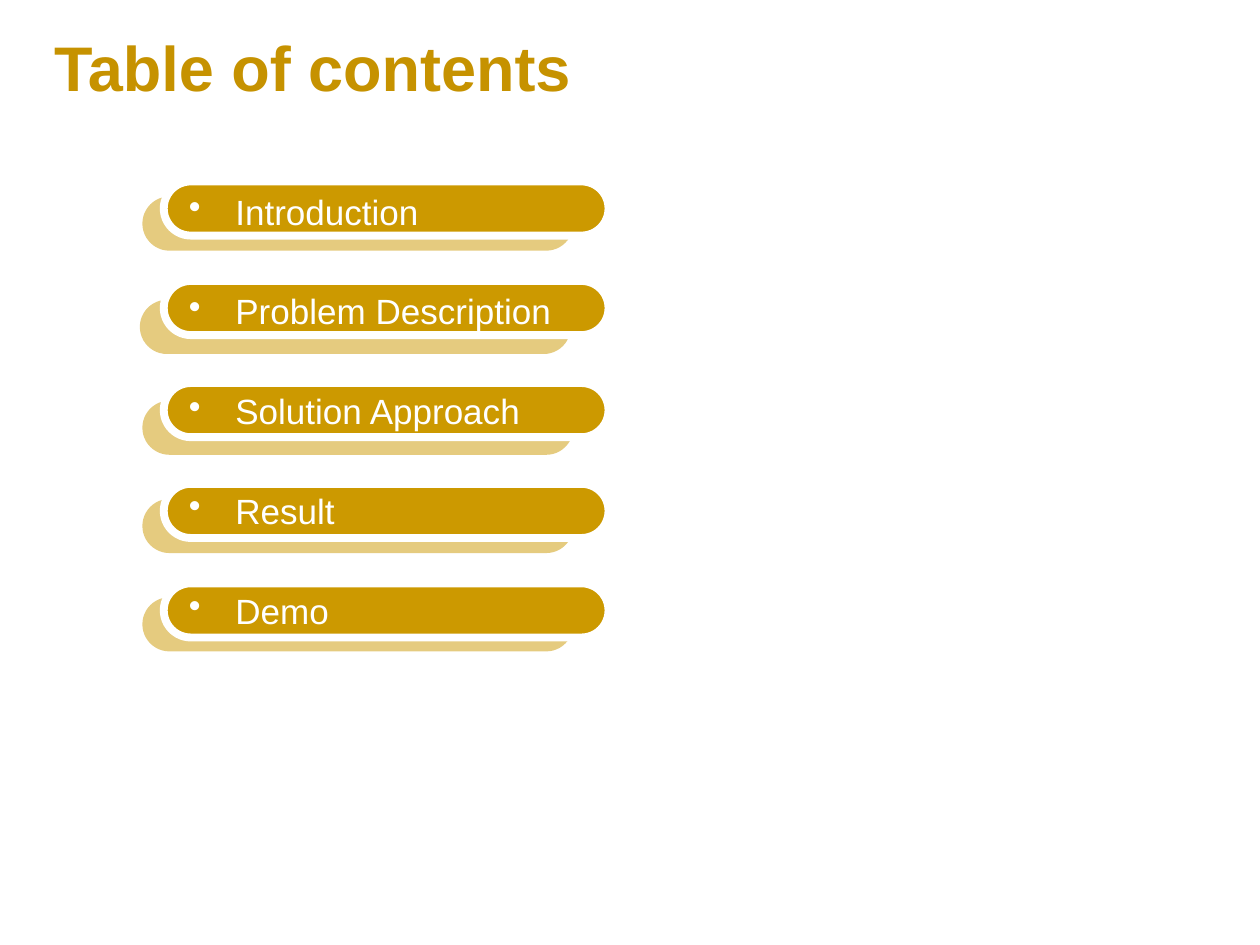
"""Build a table of contents slide with five layered pill-shaped entries."""
from lxml.etree import SubElement
from pptx import Presentation
from pptx.dml.color import RGBColor
from pptx.enum.shapes import MSO_SHAPE as Preset
from pptx.enum.text import MSO_ANCHOR as Anchor, PP_ALIGN as Align
from pptx.oxml.ns import qn
from pptx.util import Inches, Pt

GOLD = RGBColor(0xCC, 0x99, 0x00)
TITLE_GOLD = RGBColor(0xC6, 0x92, 0x00)
WHITE = RGBColor(0xFF, 0xFF, 0xFF)

TOPICS = ["Introduction", "Problem Description", "Solution Approach", "Result", "Demo"]
BACK_PLACES = [(1.13, 1.56), (1.11, 2.38), (1.13, 3.18), (1.13, 3.96), (1.13, 4.74)]
FRONT_PLACES = [(1.3, top) for top in (1.44, 2.23, 3.04, 3.84, 4.63)]
PILL_HEIGHT = 0.43
TITLE_FORMAT = {"name": "Arial", "size": Pt(36), "bold": True}
TOPIC_FORMAT = {"name": "Arial", "size": Pt(20), "bold": False}


def set_format(font, values, color):
    """Apply a dict of font values and a colour."""
    for attribute, value in values.items():
        setattr(font, attribute, value)
    font.color.rgb = color


def add_pill(slide, place, width):
    """Add a gold, fully rounded bar."""
    left, top = place
    pill = slide.shapes.add_shape(
        Preset.ROUNDED_RECTANGLE,
        Inches(left), Inches(top), Inches(width), Inches(PILL_HEIGHT))
    pill.adjustments[0] = 0.5
    pill.shadow.inherit = False
    pill.fill.solid()
    pill.fill.fore_color.rgb = GOLD
    return pill


def add_back_pill(slide, place):
    """Add a half-transparent bar without an outline."""
    pill = add_pill(slide, place, 3.42)
    pill.line.fill.background()
    color = pill._element.spPr.find(qn("a:solidFill")).find(qn("a:srgbClr"))
    SubElement(color, qn("a:alpha"), val="50000")


def add_front_pill(slide, place):
    """Add an opaque bar with a thick white outline."""
    pill = add_pill(slide, place, 3.53)
    pill.line.color.rgb = WHITE
    pill.line.width = Pt(4.5)


def set_bullet(paragraph):
    """Give a paragraph a round bullet with a hanging indent."""
    properties = paragraph._p.get_or_add_pPr()
    properties.set("marL", str(Inches(0.37)))
    properties.set("indent", str(-Inches(0.37)))
    SubElement(properties, qn("a:buChar"), char="•")


def add_topics(slide):
    """Write the bulleted topics over the bars."""
    box = slide.shapes.add_textbox(Inches(1.4), Inches(1.46), Inches(3.6), Inches(4.52))
    frame = box.text_frame
    frame.word_wrap = True
    for index, topic in enumerate(TOPICS):
        paragraph = frame.add_paragraph() if index else frame.paragraphs[0]
        set_bullet(paragraph)
        if index:
            paragraph.space_before = Pt(33)
        run = paragraph.add_run()
        run.text = topic
        set_format(run.font, TOPIC_FORMAT, WHITE)


def set_title(slide, text):
    """Place and format the title."""
    title = slide.shapes.title
    title.left, title.top = Inches(0.33), Inches(0.25)
    title.width, title.height = Inches(7.66), Inches(0.55)
    frame = title.text_frame
    frame.text = text
    frame.vertical_anchor = Anchor.MIDDLE
    paragraph = frame.paragraphs[0]
    paragraph.alignment = Align.LEFT
    set_format(paragraph.runs[0].font, TITLE_FORMAT, TITLE_GOLD)


def main():
    """Assemble and save the slide."""
    deck = Presentation()
    deck.slide_width, deck.slide_height = Inches(10), Inches(7.5)
    slide = deck.slides.add_slide(deck.slide_layouts[5])
    set_title(slide, "Table of contents")
    for place in BACK_PLACES:
        add_back_pill(slide, place)
    for place in FRONT_PLACES:
        add_front_pill(slide, place)
    add_topics(slide)
    deck.save("out.pptx")


if __name__ == "__main__":
    main()
